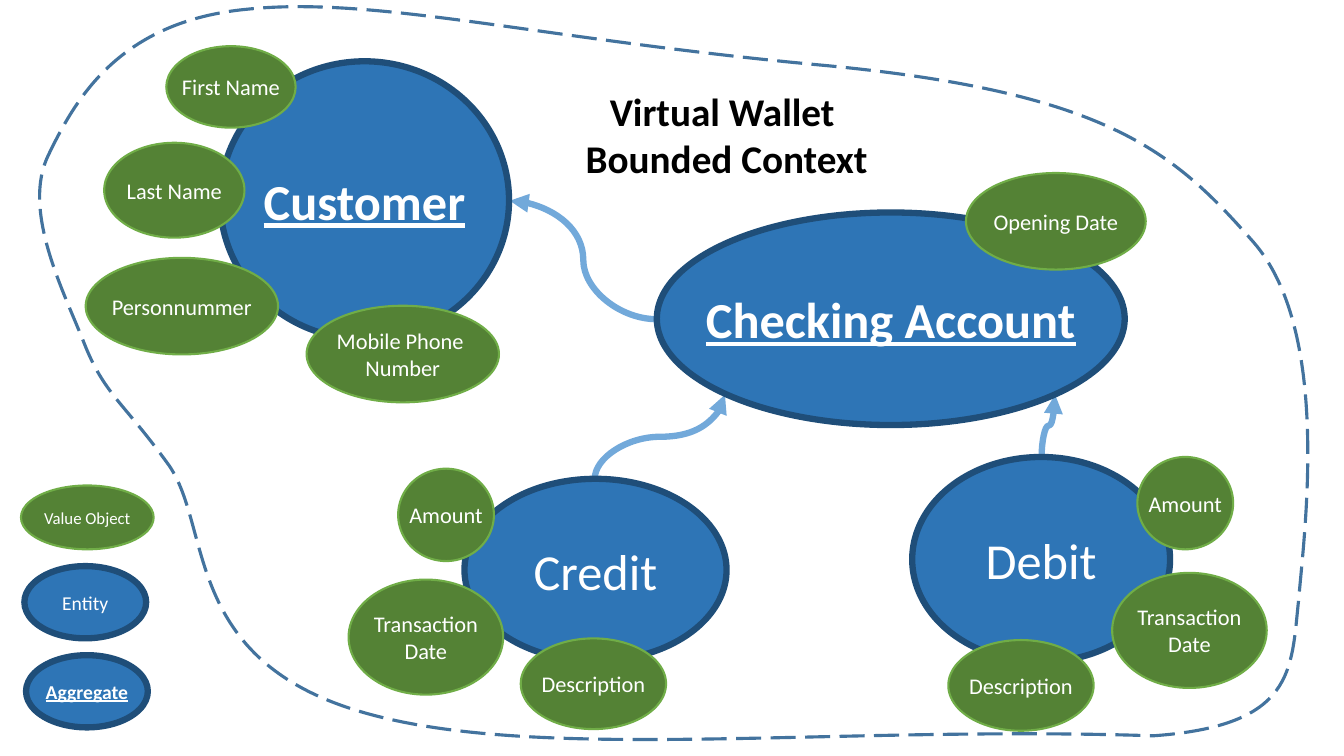
from lxml import etree
from pptx import Presentation
from pptx import util as u
from pptx.dml.color import RGBColor
from pptx.enum import dml, shapes, text
from pptx.oxml.ns import qn

COLUMNS, ROWS = 160, 90
CELL = u.Pt(6)  # the grid has square cells
TITLE_ONLY = 5
COLORS = {
    "entity": "2E75B6", "entity_edge": "1F4E79",
    "value": "548235", "value_edge": "70AD47",
    "arrow": "5B9BD5", "boundary": "43739E",
    "light": "FFFFFF", "dark": "000000",
}

# Each ellipse: label, column, row, columns wide, rows high
AGGREGATES = [
    ("Customer", 26.2, 7.3, 34.4, 33.1),
    ("Checking Account", 78.2, 25.3, 55.7, 25.3),
]
ENTITIES = [
    ("Credit", 55.3, 57, 31.2, 21.7),
    ("Debit", 108.6, 54.4, 30.7, 24.4),
]
VALUE_OBJECTS = [
    ("First Name", 19.8, 5.5, 15.4, 9.7),
    ("Last Name", 12.4, 17, 16.7, 11.3),
    ("Personnummer", 10.2, 30.7, 22.9, 11.5),
    ("Mobile Phone \nNumber", 36.5, 36.4, 22.9, 11.5),
    ("Opening Date", 115, 20.6, 21.4, 11.5),
    ("Amount", 47.4, 55.8, 11.4, 11),
    ("Transaction\nDate", 41.5, 69, 18.4, 13.7),
    ("Description", 62, 76, 17.3, 10.8),
    ("Amount", 135.4, 54.4, 11.4, 11),
    ("Transaction\nDate", 132.4, 68.2, 18.4, 13.7),
    ("Description", 112.9, 76.2, 17.3, 10.8),
]

# Start point, then two control points and an end point per curve
BOUNDARY_START = (5.8, 18.4)
BOUNDARY_CURVES = [
    ((9, 11.8), (14.2, 2.5), (29.5, 1.1)),
    ((44.8, -0.5), (64.4, 4.7), (98.2, 7.8)),
    ((131.9, 11), (139.8, 18.1), (149.2, 28.8)),
    ((158.5, 39.4), (155.3, 63.2), (154.6, 71.5)),
    ((153.7, 79.8), (154.2, 86.4), (137.3, 87.6)),
    ((98.5, 86.3), (62.9, 91), (42.2, 84.5)),
    ((21.5, 78), (25.3, 62.3), (19.9, 55.1)),
    ((14.6, 47.8), (12.4, 46.9), (10, 40.8)),
    ((7.6, 34.7), (2.5, 25), BOUNDARY_START),
]


def grid(*cells):
    return [round(cell * CELL) for cell in cells]


class ContextMap:
    font = "Calibri"

    def __init__(self, deck):
        self.page = deck.slides.add_slide(deck.slide_layouts[TITLE_ONLY])

    def color(self, name):
        return RGBColor.from_string(COLORS[name])

    def outline(self, line, color, width):
        line.color.rgb = self.color(color)
        line.width = u.Pt(width)

    def label(self, frame, words, size, color, bold=False, underline=False):
        frame.word_wrap = False
        para = frame.paragraphs[0]
        para.text = words
        para.alignment = text.PP_ALIGN.CENTER
        para.font.name = self.font
        para.font.size = u.Pt(size)
        para.font.bold = bold
        para.font.underline = underline
        para.font.color.rgb = self.color(color)

    def title(self, words, *place):
        box = self.page.shapes.title
        box.left, box.top, box.width, box.height = grid(*place)
        self.label(box.text_frame, words, 28, "dark", bold=True)
        box.text_frame.vertical_anchor = text.MSO_ANCHOR.TOP
        box.text_frame.auto_size = text.MSO_AUTO_SIZE.SHAPE_TO_FIT_TEXT

    def ellipse(self, words, *place, kind, edge, size, aggregate=False):
        oval = self.page.shapes.add_shape(shapes.MSO_SHAPE.OVAL, *grid(*place))
        oval.shadow.inherit = False
        oval.fill.solid()
        oval.fill.fore_color.rgb = self.color(kind)
        self.outline(oval.line, kind + "_edge", edge)
        oval.text_frame.vertical_anchor = text.MSO_ANCHOR.MIDDLE
        self.label(oval.text_frame, words, size, "light", aggregate, aggregate)

    def entity(self, words, *place, size=36, aggregate=False):
        self.ellipse(words, *place, kind="entity", edge=4.5, size=size,
                     aggregate=aggregate)

    def value_object(self, words, *place, size=16):
        self.ellipse(words, *place, kind="value", edge=1.5, size=size)

    def arrow(self, x1, y1, x2, y2, upright=False):
        """Curved arrow; an upright one rises from its start to the right."""
        if upright:
            mid_x, mid_y = (x1 + x2) / 2, (y1 + y2) / 2
            half_w, half_h = abs(y2 - y1) / 2, abs(x2 - x1) / 2
            x1, y1 = mid_x + half_w, mid_y + half_h
            x2, y2 = mid_x - half_w, mid_y - half_h
        curve = self.page.shapes.add_connector(
            shapes.MSO_CONNECTOR.CURVE, *grid(x1, y1, x2, y2))
        self.outline(curve.line, "arrow", 4.5)
        props = curve._element.spPr
        if upright:
            props.find(qn("a:xfrm")).set("rot", str(90 * 60000))
        # Transparency, arrowhead and no shadow
        tint = next(props.iter(qn("a:srgbClr")))
        etree.SubElement(tint, qn("a:alpha"), val="85000")
        etree.SubElement(props.find(qn("a:ln")), qn("a:tailEnd"), type="triangle")
        etree.SubElement(props, qn("a:effectLst"))

    def boundary(self, start, curves):
        points = [grid(*point) for curve in curves for point in curve]
        builder = self.page.shapes.build_freeform(*grid(*start))
        builder.add_line_segments(points, close=True)
        border = builder.convert_to_shape()
        border.shadow.inherit = False
        border.fill.background()
        self.outline(border.line, "boundary", 2.25)
        border.line.dash_style = dml.MSO_LINE.LONG_DASH
        # Turn every three segments into one Bézier curve
        outline = next(border._element.iter(qn("a:path")))
        segments = outline.findall(qn("a:lnTo"))
        for first in range(0, len(segments), 3):
            bezier = etree.Element(qn("a:cubicBezTo"))
            segments[first].addprevious(bezier)
            for segment in segments[first:first + 3]:
                bezier.append(segment[0])
                outline.remove(segment)


def main():
    deck = Presentation()
    deck.slide_width, deck.slide_height = grid(COLUMNS, ROWS)
    context = ContextMap(deck)
    context.title("Virtual Wallet \nBounded Context", 68.3, 9.8, 36.4, 12.5)

    # Relations and context boundary, behind the ellipses
    context.arrow(124, 54.4, 125.6, 47, upright=True)
    context.arrow(70.8, 57, 86.3, 47, upright=True)
    context.arrow(78.2, 38, 60.7, 23.9)
    context.boundary(BOUNDARY_START, BOUNDARY_CURVES)

    # Domain model
    for aggregate in AGGREGATES:
        context.entity(*aggregate, aggregate=True)
    for entity in ENTITIES:
        context.entity(*entity)
    for value_object in VALUE_OBJECTS:
        context.value_object(*value_object)

    # Legend
    context.value_object("Value Object", 2.5, 57.8, 15.8, 7.6, size=12)
    context.entity("Entity", 2.9, 67.4, 14.5, 8.6, size=14)
    context.entity("Aggregate", 3.1, 78, 14.5, 8.6, size=14, aggregate=True)

    deck.save("out.pptx")


if __name__ == "__main__":
    main()
